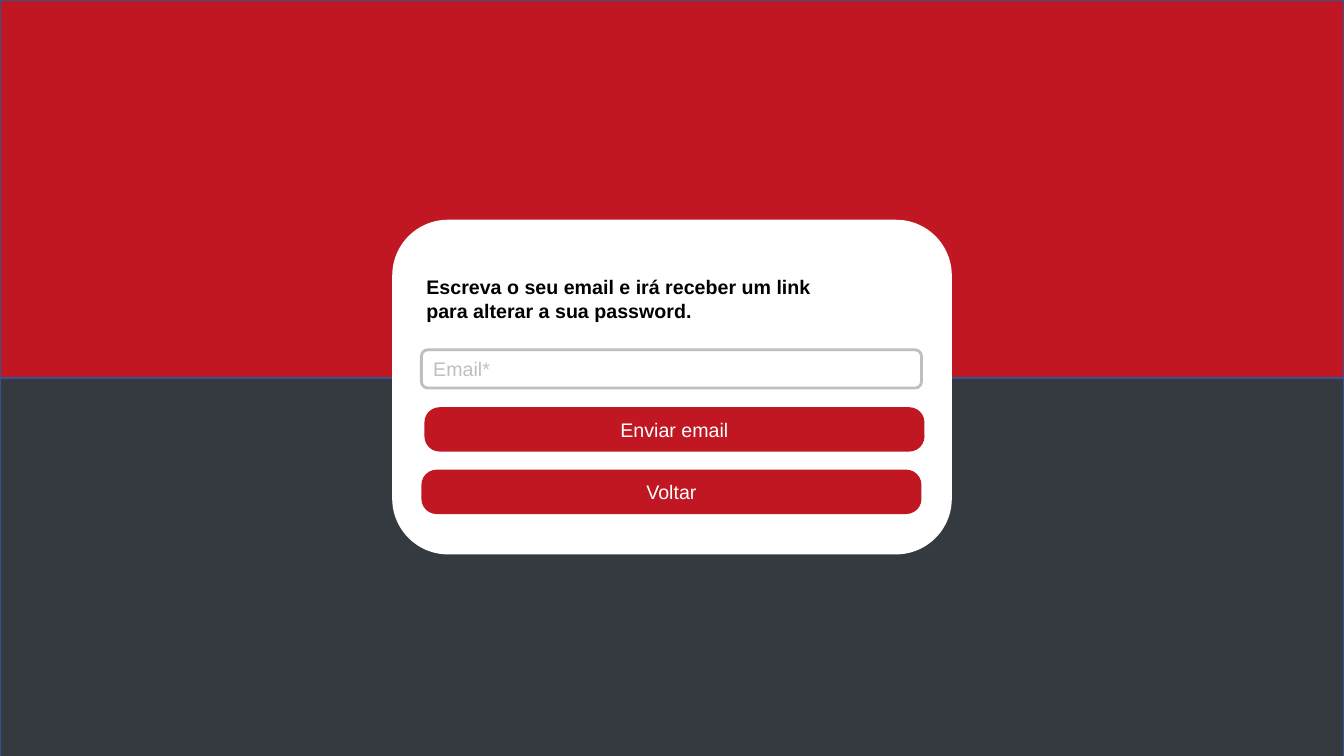
import pptx
import pptx.util
from dataclasses import dataclass
from pptx.dml.color import RGBColor
from pptx.enum.shapes import MSO_SHAPE
from pptx.enum.text import MSO_ANCHOR, PP_ALIGN
from pptx.util import Inches, Pt

PROMPT = "Escreva o seu email e irá receber um link para alterar a sua password."
EMAIL_HINT = "Email*"
# Label, left edge, top edge
BUTTONS = [("Enviar email", 4.21, 4.04), ("Voltar", 4.18, 4.66)]

SLIDE_WIDTH, SLIDE_HEIGHT = 13.33, 7.5
HALF = SLIDE_HEIGHT / 2
CONTROL_LEFT, CONTROL_WIDTH = 4.18, 4.96
BUTTON_HEIGHT, BUTTON_ROUNDING = 0.44, 0.343


@dataclass(frozen=True)
class Theme:
    red: str = "C01722"
    dark: str = "343A40"
    white: str = "FFFFFF"
    black: str = "000000"
    grey: str = "BFBFBF"
    edge: str = "31538F"
    font: str = "Arial"
    size: int = 14


THEME = Theme()


def add_panel(slide, kind, box, fill, line=None, line_width=1):
    panel = slide.shapes.add_shape(kind, *map(Inches, box))
    panel.shadow.inherit = False
    panel.fill.solid()
    panel.fill.fore_color.rgb = RGBColor.from_string(fill)
    if line:
        panel.line.color.rgb = RGBColor.from_string(line)
        panel.line.width = Pt(line_width)
    else:
        panel.line.fill.background()
    return panel


def write(shape, text, color, align=PP_ALIGN.LEFT, bold=False):
    frame = shape.text_frame
    frame.word_wrap = True
    frame.vertical_anchor = MSO_ANCHOR.MIDDLE
    frame.text = text
    paragraph = frame.paragraphs[0]
    paragraph.alignment = align
    font = paragraph.runs[0].font
    font.name, font.size, font.bold = THEME.font, Pt(THEME.size), bold
    font.color.rgb = RGBColor.from_string(color)


def main():
    deck = pptx.Presentation()
    deck.slide_width, deck.slide_height = Inches(SLIDE_WIDTH), Inches(SLIDE_HEIGHT)
    slide = deck.slides.add_slide(deck.slide_layouts[6])

    add_panel(slide, MSO_SHAPE.RECTANGLE, (0, 3.35, SLIDE_WIDTH, 4.26),
              THEME.dark, THEME.edge)
    add_panel(slide, MSO_SHAPE.RECTANGLE, (0, 0, SLIDE_WIDTH, HALF),
              THEME.red, THEME.edge)
    add_panel(slide, MSO_SHAPE.ROUNDED_RECTANGLE, (3.89, 2.18, 5.55, 3.32), THEME.white)

    prompt = slide.shapes.add_textbox(*map(Inches, (4.13, 2.58, 4.22, 0.77)))
    write(prompt, PROMPT, THEME.black, bold=True)

    email = add_panel(slide, MSO_SHAPE.ROUNDED_RECTANGLE,
                      (CONTROL_LEFT, 3.47, CONTROL_WIDTH, 0.38),
                      THEME.white, THEME.grey, 2)
    write(email, EMAIL_HINT, THEME.grey)

    for label, left, top in BUTTONS:
        button = add_panel(slide, MSO_SHAPE.ROUNDED_RECTANGLE,
                           (left, top, CONTROL_WIDTH, BUTTON_HEIGHT), THEME.red)
        button.adjustments[0] = BUTTON_ROUNDING
        write(button, label, THEME.white, PP_ALIGN.CENTER)

    deck.save("out.pptx")


if __name__ == "__main__":
    main()
